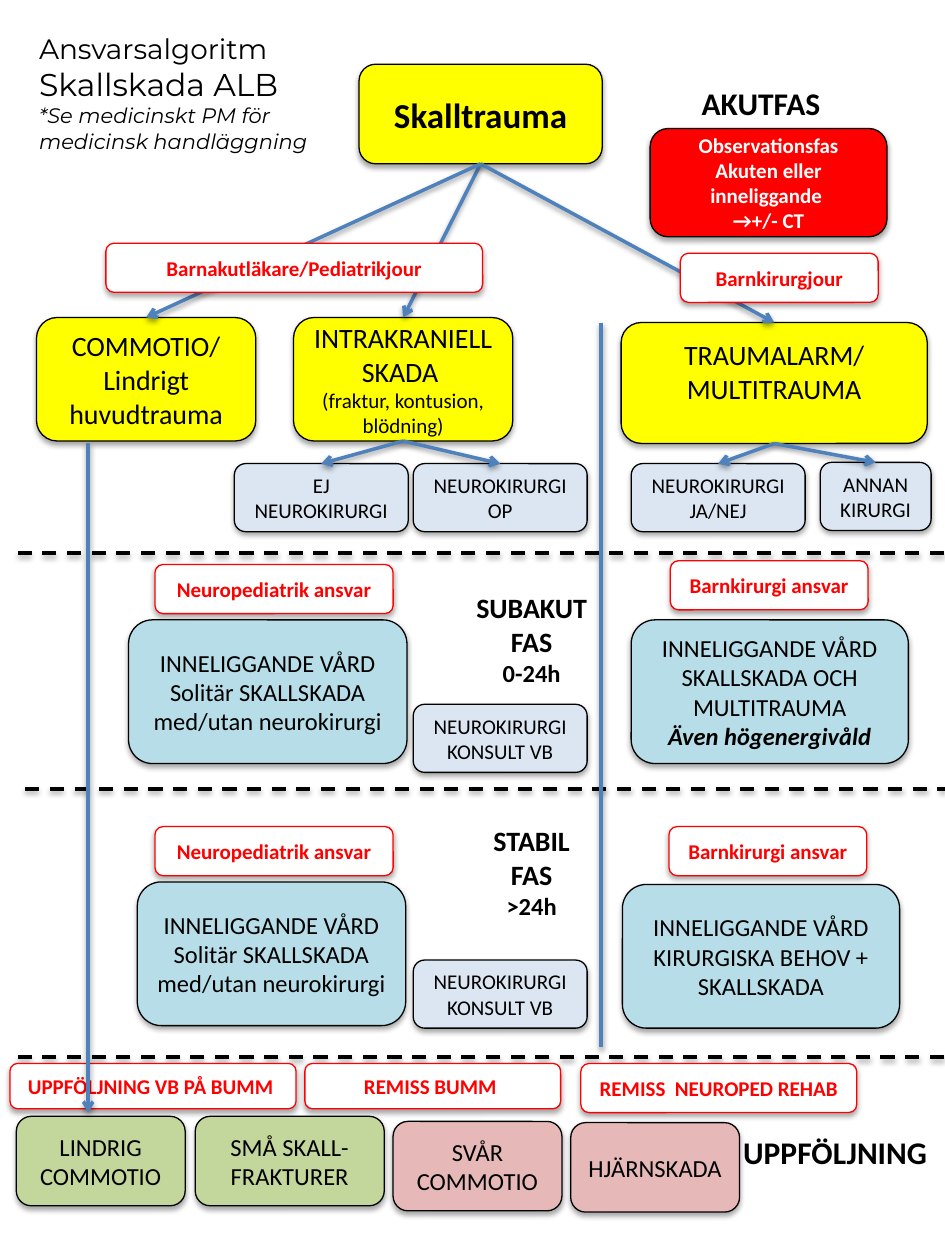
from collections import namedtuple

from lxml.etree import SubElement
from pptx import Presentation
from pptx.dml.color import RGBColor
from pptx.enum.dml import MSO_LINE
from pptx.enum.shapes import MSO_CONNECTOR, MSO_SHAPE
from pptx.enum.text import MSO_ANCHOR, MSO_AUTO_SIZE, PP_ALIGN
from pptx.oxml.ns import qn
from pptx.util import Inches, Pt

BLACK = RGBColor(0, 0, 0)
WHITE = RGBColor(255, 255, 255)
RED = RGBColor(255, 0, 0)
YELLOW = RGBColor(255, 255, 0)
BLUE = RGBColor(0x4F, 0x81, 0xBD)
PALE_BLUE = RGBColor(0xDC, 0xE6, 0xF2)
AQUA = RGBColor(0xB7, 0xDE, 0xE8)
GREEN = RGBColor(0xC3, 0xD6, 0x9B)
PINK = RGBColor(0xE6, 0xB9, 0xB8)

TOP, BOTTOM = 0, 2  # connection sites
Region = namedtuple("Region", "left top width height")
Line = namedtuple("Line", "text size bold italic", defaults=(False, False))


def write_lines(frame, lines, color=BLACK, font="Calibri", align=PP_ALIGN.CENTER):
    for number, line in enumerate(lines):
        para = frame.add_paragraph() if number else frame.paragraphs[0]
        para.text = line.text
        para.alignment = align
        para.font.name = font
        para.font.size = Pt(line.size)
        para.font.bold = line.bold
        para.font.italic = line.italic
        para.font.color.rgb = color


def add_box(page, region, place, lines, fill, color=BLACK, outline=BLACK):
    """Rounded box placed within its region; it keeps the theme's soft shadow."""
    x, y, width, height = place
    box = page.shapes.add_shape(
        MSO_SHAPE.ROUNDED_RECTANGLE, Inches(region.left + x),
        Inches(region.top + y), Inches(width), Inches(height))
    box.fill.solid()
    box.fill.fore_color.rgb = fill
    box.line.color.rgb = outline
    box.line.width = Pt(0.75)
    box.text_frame.word_wrap = True
    box.text_frame.vertical_anchor = MSO_ANCHOR.MIDDLE
    write_lines(box.text_frame, lines, color)
    return box


def add_badge(page, region, place, text):
    return add_box(page, region, place, [Line(text, 12, True)], WHITE, RED, RED)


def add_step(page, region, place, text):
    return add_box(page, region, place, [Line(text, 12)], PALE_BLUE)


def add_label(page, region, place, lines, wrap=True, align=PP_ALIGN.CENTER):
    x, y, width, height = place
    label = page.shapes.add_textbox(
        Inches(region.left + x), Inches(region.top + y), Inches(width), Inches(height))
    label.text_frame.word_wrap = wrap
    write_lines(label.text_frame, lines, align=align)


def add_line(page, start=(0, 0), end=(0, 0), color=BLUE, dashed=False, arrow=False):
    line = page.shapes.add_connector(
        MSO_CONNECTOR.STRAIGHT, *(Inches(value) for value in (*start, *end)))
    line.line.color.rgb = color
    line.line.width = Pt(2)
    if dashed:
        line.line.dash_style = MSO_LINE.DASH
    if arrow:
        SubElement(line.line._get_or_add_ln(), qn("a:tailEnd"), type="arrow")
    return line


def add_branches(page, parent, children):
    for child in children:
        arrow = add_line(page, arrow=True)
        arrow.begin_connect(parent, BOTTOM)
        arrow.end_connect(child, TOP)


def add_divider(page, region, indent=0.14):
    bottom = region.top + region.height
    add_line(page, (region.left + indent, bottom),
             (region.left + region.width, bottom), BLACK, dashed=True)


def add_heading(page, region):
    title = page.shapes.title
    title.left, title.top, title.width, title.height = map(Inches, region)
    frame = title.text_frame
    frame.word_wrap = True
    frame.auto_size = MSO_AUTO_SIZE.NONE
    frame.vertical_anchor = MSO_ANCHOR.TOP
    write_lines(frame, [
        Line("Ansvarsalgoritm", 16), Line("Skallskada ALB", 18),
        Line("*Se medicinskt PM för medicinsk handläggning", 12, italic=True),
    ], font="Montserrat", align=PP_ALIGN.LEFT)


def add_acute_phase(page, region):
    # Phase name and observation
    add_label(page, region, (5.47, 0.62, 1.15, 0.4), [Line("AKUTFAS", 18, True)],
              wrap=False, align=PP_ALIGN.LEFT)
    add_box(page, region, (5.16, 1.02, 1.88, 0.86), [
        Line("Observationsfas Akuten eller inneliggande ", 12, True),
        Line("→+/- CT", 12, True)], RED, WHITE)

    # Head trauma and the three kinds of injury
    trauma = add_box(page, region, (2.85, 0.51, 1.93, 0.79),
                     [Line("Skalltrauma", 20, True)], YELLOW)
    mild = add_box(page, region, (0.29, 2.52, 1.74, 0.98), [
        Line("COMMOTIO/", 16), Line("Lindrigt huvudtrauma", 16)], YELLOW)
    intracranial = add_box(page, region, (2.33, 2.52, 1.74, 0.98), [
        Line("INTRAKRANIELL SKADA ", 16),
        Line("(fraktur, kontusion, blödning)", 12)], YELLOW)
    multiple = add_box(page, region, (4.93, 2.56, 2.43, 0.96), [
        Line("TRAUMALARM/", 16), Line("MULTITRAUMA", 16)], YELLOW)
    multiple.text_frame.margin_bottom = Inches(0.23)
    add_branches(page, trauma, [multiple, intracranial, mild])

    # Surgical decisions
    add_branches(page, intracranial, [
        add_step(page, region, (1.86, 3.68, 1.38, 0.54), "EJ NEUROKIRURGI"),
        add_step(page, region, (3.28, 3.68, 1.38, 0.54), "NEUROKIRURGI OP")])
    add_branches(page, multiple, [
        add_step(page, region, (5.01, 3.68, 1.38, 0.54), "NEUROKIRURGI JA/NEJ"),
        add_step(page, region, (6.51, 3.67, 0.88, 0.54), "ANNAN KIRURGI")])

    # Doctors on call, above the arrows
    add_badge(page, region, (0.84, 1.93, 2.99, 0.39), "Barnakutläkare/Pediatrikjour")
    add_badge(page, region, (5.4, 2.01, 1.57, 0.39), "Barnkirurgjour")
    add_divider(page, region)


def add_care_phase(page, region, name, hours, label_y, consult_y,
                   badges, cares, surgical_lines, indent):
    """Neuropaediatric care on the left, paediatric surgery on the right."""
    add_label(page, region, (3.59, label_y, 1.26, 0.88), [
        Line(name, 16, True), Line("FAS", 16, True), Line(hours, 14, True)])
    add_step(page, region, (3.28, consult_y, 1.38, 0.54), "NEUROKIRURGI KONSULT VB")
    neuro_lines = [Line("Solitär SKALLSKADA med/utan neurokirurgi", 14)]
    titles = ("Neuropediatrik ansvar", "Barnkirurgi ansvar")
    for title, badge, care, lines in zip(
            titles, badges, cares, (neuro_lines, surgical_lines)):
        add_badge(page, region, badge, title)
        add_box(page, region, care, [Line("INNELIGGANDE VÅRD", 14), *lines], AQUA)
    add_divider(page, region, indent)


def add_follow_up(page, region):
    for text, *place in (
            ("UPPFÖLJNING VB PÅ BUMM ", 0.08, 0.05, 2.27, 0.36),
            ("REMISS BUMM ", 2.42, 0.05, 2.03, 0.36),
            ("REMISS  NEUROPED REHAB", 4.61, 0.05, 2.19, 0.39)):
        add_badge(page, region, place, text)
    for text, fill, *place in (
            ("LINDRIG COMMOTIO", GREEN, 0.13, 0.47, 1.34, 0.71),
            ("SMÅ SKALL-FRAKTURER", GREEN, 1.55, 0.47, 1.5, 0.71),
            ("SVÅR COMMOTIO", PINK, 3.12, 0.51, 1.34, 0.71),
            ("HJÄRNSKADA", PINK, 4.53, 0.52, 1.34, 0.71)):
        add_box(page, region, place, [Line(text, 14)], fill)
    add_label(page, region, (5.8, 0.55, 1.68, 0.4), [Line("UPPFÖLJNING", 18, True)],
              wrap=False, align=PP_ALIGN.LEFT)


def main():
    deck = Presentation()
    deck.slide_width, deck.slide_height = Inches(7.5), Inches(10)
    page = deck.slides.add_slide(deck.slide_layouts[5])

    add_heading(page, Region(0.21, 0.2, 2.45, 1.08))
    add_acute_phase(page, Region(0, 0, 7.5, 4.39))
    add_care_phase(
        page, Region(0, 4.39, 7.5, 1.87), "SUBAKUT", "0-24h", 0.25, 1.2,
        badges=[(1.23, 0.09, 1.89, 0.39), (5.32, 0.06, 1.57, 0.39)],
        cares=[(1.02, 0.53, 2.21, 1.14), (5.01, 0.53, 2.2, 1.14)],
        surgical_lines=[Line("SKALLSKADA OCH MULTITRAUMA", 14),
                        Line("Även högenergivåld", 14, True, True)],
        indent=0.2)
    add_care_phase(
        page, Region(0, 6.26, 7.5, 2.13), "STABIL", ">24h", 0.23, 1.36,
        badges=[(1.23, 0.3, 1.89, 0.39), (5.31, 0.3, 1.57, 0.39)],
        cares=[(1.09, 0.74, 2.13, 1.14), (4.94, 0.76, 2.2, 1.14)],
        surgical_lines=[Line("KIRURGISKA BEHOV + SKALLSKADA", 14)],
        indent=0.14)
    add_follow_up(page, Region(0, 8.39, 7.5, 1.61))

    # Lines that run through several phases
    add_line(page, (4.77, 2.56), (4.77, 8.31))
    add_line(page, (0.7, 3.52), (0.7, 8.83), arrow=True)
    deck.save("out.pptx")


if __name__ == "__main__":
    main()
